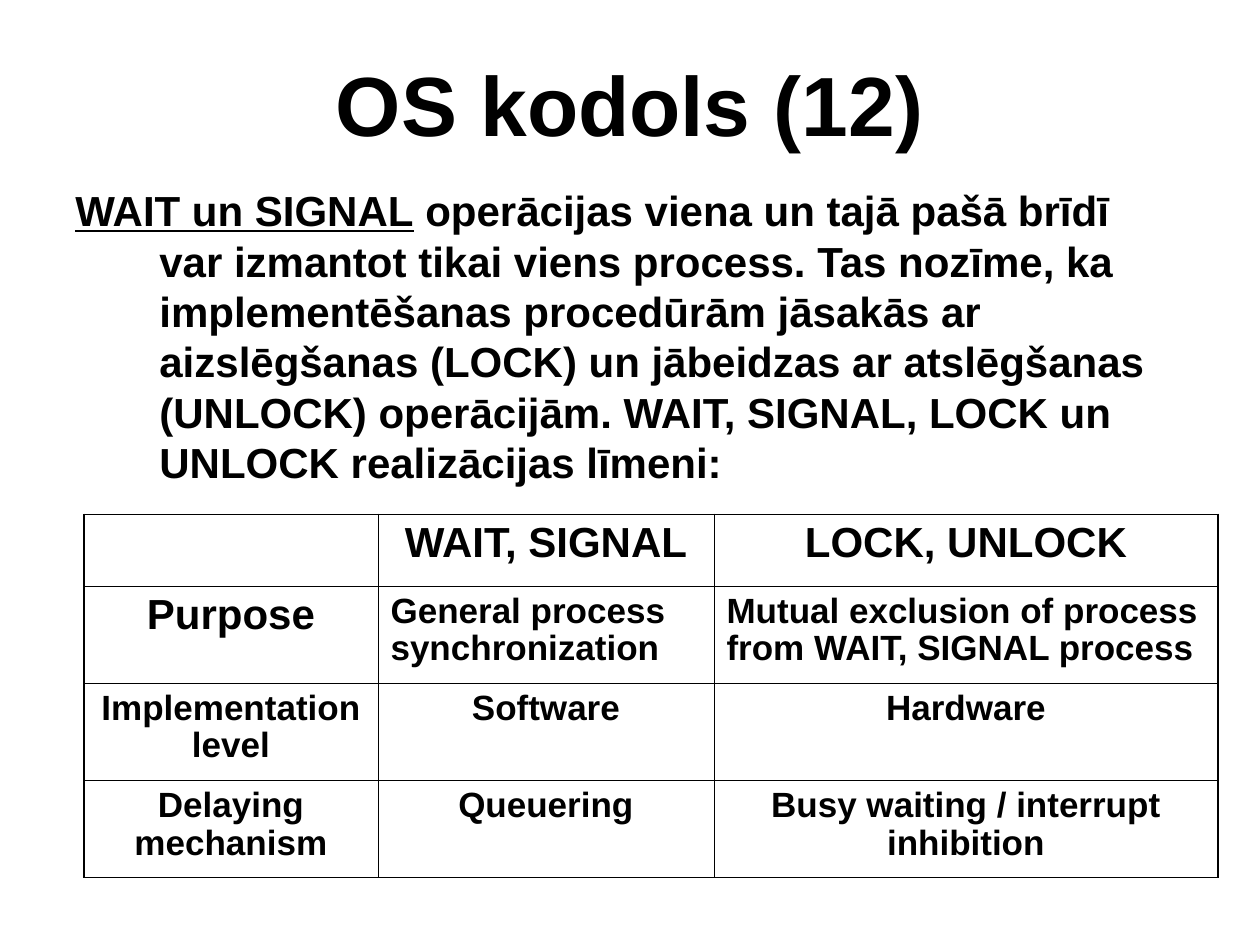
import pptx
import pptx.util
import pptx.dml.color
import pptx.enum.text
import pptx.oxml
import pptx.oxml.ns

BLACK = pptx.dml.color.RGBColor(0, 0, 0)
WHITE = pptx.dml.color.RGBColor(255, 255, 255)
LEFT = pptx.enum.text.PP_ALIGN.LEFT
CENTER = pptx.enum.text.PP_ALIGN.CENTER
TOP = pptx.enum.text.MSO_ANCHOR.TOP
MIDDLE = pptx.enum.text.MSO_ANCHOR.MIDDLE

COLUMNS, ROWS = 120, 90
HEADINGS = ("", "WAIT, SIGNAL", "LOCK, UNLOCK")
COMPARISON = (
    HEADINGS,
    ("Purpose", "General process synchronization",
     "Mutual exclusion of process from WAIT, SIGNAL process"),
    ("Implementation level", "Software", "Hardware"),
    ("Delaying mechanism", "Queuering", "Busy waiting / interrupt inhibition"),
)
LARGE_ENTRIES = HEADINGS + ("Purpose",)
SENTENCE = (
    " operācijas viena un tajā pašā brīdī var izmantot tikai viens process. "
    "Tas nozīme, ka implementēšanas procedūrām jāsakās ar aizslēgšanas (LOCK) "
    "un jābeidzas ar atslēgšanas (UNLOCK) operācijām. WAIT, SIGNAL, LOCK un "
    "UNLOCK realizācijas līmeni:"
)


def write(paragraph, text, size=24, align=LEFT, underline=False, spacing=None, font="Arial"):
    paragraph.alignment = align
    if spacing is not None:
        paragraph.line_spacing = spacing
    run = paragraph.add_run()
    run.text = text
    run.font.name = font
    run.font.size = pptx.util.Pt(size)
    run.font.bold = True
    run.font.underline = underline
    run.font.color.rgb = BLACK


class SlideBuilder:
    outer_line = 1.08
    inner_line = 0.45

    def __init__(self, deck):
        self.column = deck.slide_width / COLUMNS
        self.row = deck.slide_height / ROWS
        self.slide = deck.slides.add_slide(deck.slide_layouts[6])
        self.slide.background.fill.solid()
        self.slide.background.fill.fore_color.rgb = WHITE

    def across(self, columns):
        return round(columns * self.column)

    def down(self, rows):
        return round(rows * self.row)

    def place(self, left, top, width, height):
        return self.across(left), self.down(top), self.across(width), self.down(height)

    def text(self, *place, anchor=TOP, hanging=0):
        frame = self.slide.shapes.add_textbox(*self.place(*place)).text_frame
        frame.word_wrap = True
        frame.vertical_anchor = anchor
        paragraph = frame.paragraphs[0]
        if hanging:
            properties = paragraph._p.get_or_add_pPr()
            properties.set("marL", str(self.across(hanging)))
            properties.set("indent", str(-self.across(hanging)))
        return paragraph

    def border(self, cell, side, width):
        line = pptx.oxml.parse_xml(
            f'<a:{side} {pptx.oxml.ns.nsdecls("a")} w="{pptx.util.Pt(width)}">'
            f'<a:solidFill><a:srgbClr val="{BLACK}"/></a:solidFill></a:{side}>')
        cell._tc.get_or_add_tcPr().append(line)

    def table(self, left, top, widths, heights, entries):
        place = self.place(left, top, sum(widths), sum(heights))
        table = self.slide.shapes.add_table(len(heights), len(widths), *place).table
        table.first_row = table.horz_banding = False
        for column, width in zip(table.columns, widths):
            column.width = self.across(width)
        for row, height in zip(table.rows, heights):
            row.height = self.down(height)
        last_row, last_column = len(heights) - 1, len(widths) - 1
        for r, texts in enumerate(entries):
            for c, text in enumerate(texts):
                cell = table.cell(r, c)
                edges = {"lnL": c == 0, "lnR": c == last_column,
                         "lnT": r == 0, "lnB": r == last_row}
                for side, outer in edges.items():
                    self.border(cell, side, self.outer_line if outer else self.inner_line)
                cell.fill.background()
                if text:
                    write(cell.text_frame.paragraphs[0], text,
                          size=24 if text in LARGE_ENTRIES else 20,
                          align=LEFT if r == 1 and c > 0 else CENTER,
                          spacing=0.97)


def main():
    deck = pptx.Presentation()
    deck.slide_width = pptx.util.Inches(10)
    deck.slide_height = pptx.util.Inches(7.5)
    builder = SlideBuilder(deck)

    title = builder.text(6, 3.6, 108, 12.4, anchor=MIDDLE)
    write(title, "OS kodols (12)", size=48, align=CENTER)

    explanation = builder.text(6, 17, 105, 59.4, hanging=8)
    write(explanation, "WAIT un SIGNAL", underline=True, spacing=pptx.util.Pt(28.8))
    write(explanation, SENTENCE)

    builder.table(8, 49, (28, 32, 48), (6.85, 9.25, 9.25, 9.25), COMPARISON)
    deck.save("out.pptx")


if __name__ == "__main__":
    main()
